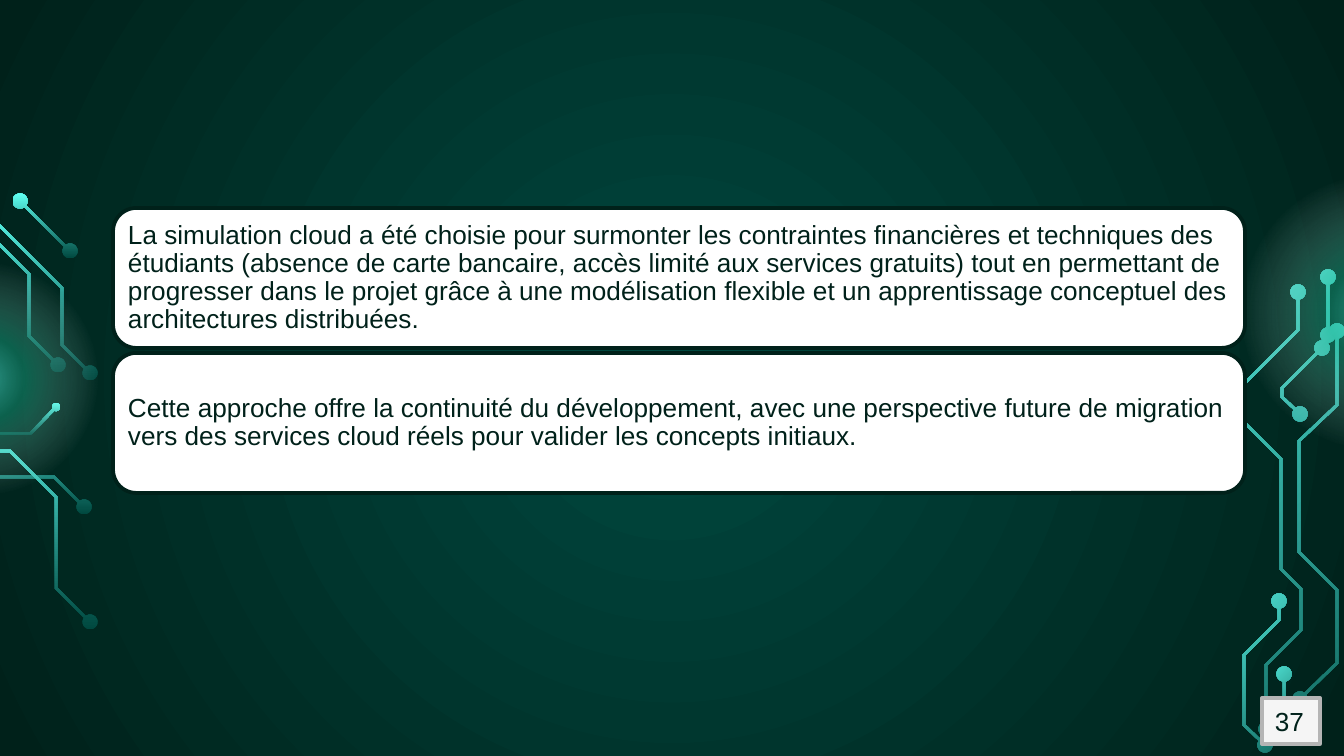
from math import cos, dist, hypot, pi, radians, sin

from pptx import Presentation
from pptx.dml.color import RGBColor
from pptx.enum.shapes import MSO_SHAPE
from pptx.enum.text import MSO_ANCHOR, PP_ALIGN
from pptx.oxml import parse_xml
from pptx.oxml.ns import nsdecls
from pptx.util import Pt

ELLIPSE, RECT, ROUNDED = MSO_SHAPE.OVAL, MSO_SHAPE.RECTANGLE, MSO_SHAPE.ROUNDED_RECTANGLE
TOP, MIDDLE, LEFT = MSO_ANCHOR.TOP, MSO_ANCHOR.MIDDLE, PP_ALIGN.LEFT

COLORS = {
    "teal": "00483F", "night": "00211A", "aqua": "5FFFF1", "mint": "21C79D",
    "white": "FFFFFF", "pale": "F5F5F5", "grey": "B5B5B5",
}
SCALE = 914400 / 134.4
NODE = 7.5

BACKDROP = [(0, "teal", 100), (100, "night", 100)]
TRACE = [(0, "teal", 100), (100, "aqua", 100)]
GLOW = [(0, "aqua", 55), (23, "mint", 37), (62, "white", 0), (100, "white", 0)]
RADIAL = '<a:path path="circle"><a:fillToRect l="50000" t="50000" r="50000" b="50000"/></a:path>'
LINEAR = '<a:lin ang="5400000" scaled="0"/>'


def emu(length):
    return round(length * SCALE)


def turn(point, degrees):
    x, y = point
    c, s = cos(radians(degrees)), sin(radians(degrees))
    return x * c - y * s, x * s + y * c


def middle(points):
    return [(min(axis) + max(axis)) / 2 for axis in zip(*points)]


def toward(start, end, length):
    ratio = length / dist(start, end)
    return tuple(a + (b - a) * ratio for a, b in zip(start, end))


def normal(start, end):
    length = dist(start, end)
    return (start[1] - end[1]) / length, (end[0] - start[0]) / length


def band(line, half=1.3):
    normals = [normal(a, b) for a, b in zip(line, line[1:])]
    near, far = [], []
    for (x, y), before, after in zip(line, normals[:1] + normals, normals + normals[-1:]):
        mx, my = before[0] + after[0], before[1] + after[1]
        reach = 2 * half / hypot(mx, my) ** 2
        near.append((x + mx * reach, y + my * reach))
        far.append((x - mx * reach, y - my * reach))
    return near + far[::-1]


def disc(center, radius, placed):
    edge = []
    for step in range(24):
        angle = step * pi / 12
        point = center[0] + radius * cos(angle), center[1] + radius * sin(angle)
        for other in placed:
            if dist(point, other) < radius:
                point = toward(other, point, radius)
        edge.append(point)
    return edge


def wire_outlines(wires, radius):
    outlines, placed = [], []
    for line, nodes in wires:
        line = list(line)
        ends = [line[0], line[-1]][:nodes]
        line[0] = toward(line[0], line[1], radius)
        if nodes == 2:
            line[-1] = toward(line[-1], line[-2], radius)
        outlines.append(band(line))
        for end in ends:
            outlines.append(disc(end, radius, placed))
            placed.append(end)
    return outlines


class Painter:
    def __init__(self, page, font="Arial", size=14, ink="night"):
        self.page, self.font, self.size, self.ink = page, font, size, ink

    def color(self, name):
        return RGBColor.from_string(COLORS[name])

    def gradient(self, owner, element, stops, direction):
        owner.fill.solid()
        marks = "".join(
            f'<a:gs pos="{at * 1000}"><a:srgbClr val="{COLORS[name]}">'
            f'<a:alpha val="{opacity * 1000}"/></a:srgbClr></a:gs>'
            for at, name, opacity in stops)
        solid = element.xpath(".//a:solidFill")[0]
        solid.getparent().replace(solid, parse_xml(
            f'<a:gradFill {nsdecls("a")} rotWithShape="1"><a:gsLst>{marks}</a:gsLst>{direction}</a:gradFill>'))

    def background(self):
        self.gradient(self.page.background, self.page.element, BACKDROP, RADIAL)

    def circuit(self, wires, rotation, radius=NODE):
        outlines = [[turn(p, -rotation) for p in outline] for outline in wire_outlines(wires, radius)]
        center = middle([p for outline in outlines for p in outline])
        home = turn(center, rotation)
        outlines = [[(emu(x - center[0] + home[0]), emu(y - center[1] + home[1])) for x, y in outline]
                    for outline in outlines]
        builder = self.page.shapes.build_freeform(*outlines[0][0], scale=1.0)
        builder.add_line_segments(outlines[0][1:], close=True)
        for outline in outlines[1:]:
            builder.move_to(*outline[0])
            builder.add_line_segments(outline[1:], close=True)
        shape = builder.convert_to_shape()
        shape.rotation = rotation
        shape.shadow.inherit = False
        shape.line.fill.background()
        self.gradient(shape, shape.element, TRACE, LINEAR)

    def glow(self, left, top, size):
        shape = self.page.shapes.add_shape(ELLIPSE, *map(emu, (left, top, size, size)))
        shape.shadow.inherit = False
        shape.line.fill.background()
        self.gradient(shape, shape.element, GLOW, RADIAL)

    def panel(self, kind, place, fill, line):
        box = self.page.shapes.add_shape(kind, *map(emu, place))
        box.shadow.inherit = False
        box.fill.solid()
        box.fill.fore_color.rgb = self.color(fill)
        box.line.color.rgb = self.color(line)
        box.line.width = Pt(2)
        return box

    def label(self, box, text, anchor, inset=(13, 7), spacing=1.0):
        frame = box.text_frame
        frame.word_wrap = True
        frame.vertical_anchor = anchor
        frame.margin_left = frame.margin_right = emu(inset[0])
        frame.margin_top = frame.margin_bottom = emu(inset[1])
        para = frame.paragraphs[0]
        para.alignment = LEFT
        para.line_spacing = spacing
        span = para.add_run()
        span.text = text
        span.font.name, span.font.size = self.font, Pt(self.size)
        span.font.color.rgb = self.color(self.ink)

    def card(self, top, text):
        self.panel(ROUNDED, (113, top, 1132, 140), "white", "night")
        box = self.page.shapes.add_textbox(*map(emu, (120, top + 7, 1118, 126)))
        self.label(box, text, MIDDLE, (8, 8), 0.9)

    def page_number(self, text):
        box = self.panel(RECT, (1262, 698, 58, 46), "pale", "grey")
        self.label(box, text, TOP)


LEFT_WIRES = [
    ([(84, 507), (54, 477), (-56, 477), (-109, 423), (-109, 406)], 1),
    ([(90, 373), (62, 345), (62, 288), (-18, 208), (-71, 208)], 2),
    ([(90, 622), (56, 588), (56, 497), (10, 451), (-101, 451), (-142, 410), (-142, 405)], 1),
    ([(58, 365), (29, 336), (29, 274), (-28, 217)], 2),
]
RIGHT_CIRCUITS = [
    [([(1300, 699), (1337, 663), (1337, 590), (1299, 552), (1299, 441), (1337, 405), (1337, 331)], 2),
     ([(1328, 277), (1328, 335)], 2),
     ([(1322, 348), (1282, 388), (1282, 397), (1300, 414)], 2)],
    [([(1266, 729), (1266, 665), (1301, 630), (1301, 589), (1281, 569), (1281, 459),
       (1243, 421), (1243, 385), (1298, 330), (1298, 292)], 2)],
]
CORNER_CIRCUITS = [
    [([(1284, 729), (1284, 674)], 2)],
    [([(1265, 745), (1244, 725), (1244, 655), (1279, 620), (1279, 601)], 2)],
]
CARDS = [
    "La simulation cloud a été choisie pour surmonter les contraintes financières et techniques des "
    "étudiants (absence de carte bancaire, accès limité aux services gratuits) tout en permettant de "
    "progresser dans le projet grâce à une modélisation flexible et un apprentissage conceptuel des "
    "architectures distribuées.",
    "Cette approche offre la continuité du développement, avec une perspective future de migration "
    "vers des services cloud réels pour valider les concepts initiaux.",
]


def main():
    deck = Presentation()
    deck.slide_width, deck.slide_height = emu(1344), emu(756)
    painter = Painter(deck.slides.add_slide(deck.slide_layouts[6]))
    painter.background()
    for wire in LEFT_WIRES:
        painter.circuit([wire], 180)
    painter.circuit([([(56, 407), (30, 434), (-62, 434), (-77, 420)], 1)], 180, 4)
    painter.circuit([([(20, 201), (70, 251)], 2)], 180)
    for wires in RIGHT_CIRCUITS:
        painter.circuit(wires, 135)
    painter.glow(-151, 246, 265)
    painter.glow(1222, 155, 314)
    for wires in CORNER_CIRCUITS:
        painter.circuit(wires, 135)
    for index, text in enumerate(CARDS):
        painter.card(208 + index * 145, text)
    painter.page_number("37")
    deck.save("out.pptx")


if __name__ == "__main__":
    main()
